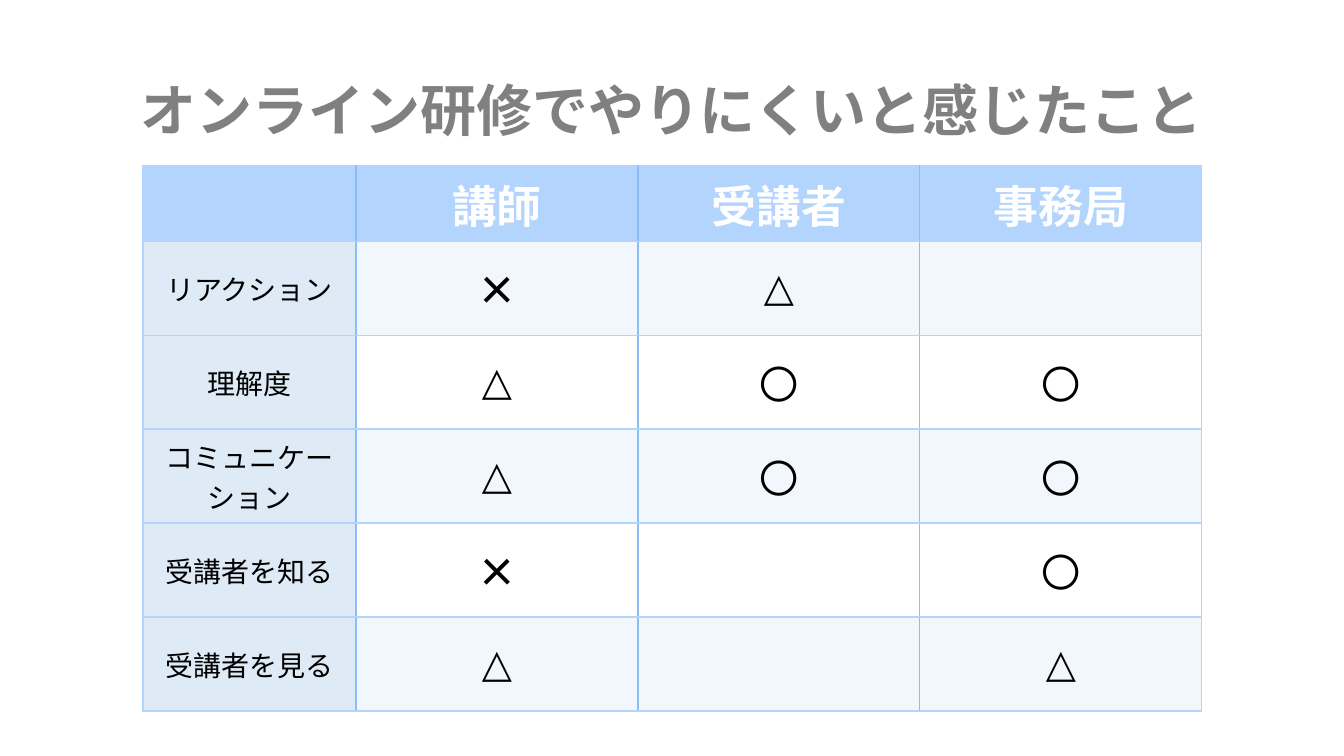
from lxml.etree import SubElement
from pptx import Presentation
from pptx.dml.color import RGBColor
from pptx.enum.text import MSO_ANCHOR, PP_ALIGN
from pptx.oxml.ns import qn
from pptx.util import Emu, Pt

TITLE = "オンライン研修でやりにくいと感じたこと"
ROWS = [
    ["", "講師", "受講者", "事務局"],
    ["リアクション", "×", "△", ""],
    ["理解度", "△", "〇", "〇"],
    ["コミュニケーション", "△", "〇", "〇"],
    ["受講者を知る", "×", "", "〇"],
    ["受講者を見る", "△", "", "△"],
]
COLORS = {
    "title": "808080",
    "header": "B3D4FC",
    "header_text": "FFFFFF",
    "label": "DEEBF7",
    "band": "F2F7FE",
    "plain": "FFFFFF",
    "text": "000000",
    "outer_line": "B3D4FC",
    "inner_line": "8ABDFA",
}
LATIN_FONT = "Calibri"
JAPANESE_FONT = "Noto Sans CJK JP"
MARK_SIZES = {"×": 44, "△": 28, "〇": 28}
HEADER_SIZE, LABEL_SIZE, TITLE_SIZE = 32, 20, 40

SLIDE_WIDTH, SLIDE_HEIGHT = 1344, 756
TITLE_BOX = (92, 40, 1159, 146)
TABLE_LEFT, TABLE_TOP = 143, 166
COLUMN_WIDTHS = [213, 282, 282, 282]
ROW_HEIGHTS = [66] + [94] * 5


def px(length):
    return Emu(round(length * 914400 / 100.8))


def color(name):
    return RGBColor.from_string(COLORS[name])


def format_text(text_frame, size, color_name, bold, latin_font):
    paragraph = text_frame.paragraphs[0]
    paragraph.alignment = PP_ALIGN.CENTER
    for run in paragraph.runs:
        font = run.font
        font.size = Pt(size)
        font.bold = bold
        font.name = latin_font
        font.color.rgb = color(color_name)
        east_asian = SubElement(font._element, qn("a:ea"))
        east_asian.set("typeface", JAPANESE_FONT)


def add_borders(cell, column):
    last_column = len(COLUMN_WIDTHS) - 1
    borders = {
        "a:lnL": "outer_line" if column == 0 else "inner_line",
        "a:lnR": "outer_line" if column == last_column else "inner_line",
        "a:lnT": "outer_line",
        "a:lnB": "outer_line",
    }
    properties = cell._tc.get_or_add_tcPr()
    for tag, color_name in borders.items():
        line = SubElement(properties, qn(tag), w=str(Pt(1)))
        fill = SubElement(line, qn("a:solidFill"))
        SubElement(fill, qn("a:srgbClr"), val=COLORS[color_name])


def cell_style(row, column, text):
    if row == 0:
        return "header", HEADER_SIZE, "header_text"
    if column == 0:
        return "label", LABEL_SIZE, "text"
    return "band" if row % 2 else "plain", MARK_SIZES.get(text), "text"


def add_title(slide):
    title = slide.shapes.title
    title.left, title.top, title.width, title.height = map(px, TITLE_BOX)
    text_frame = title.text_frame
    text_frame.text = TITLE
    text_frame.word_wrap = True
    text_frame.vertical_anchor = MSO_ANCHOR.MIDDLE
    text_frame.paragraphs[0].line_spacing = 0.9
    format_text(text_frame, TITLE_SIZE, "title", True, JAPANESE_FONT)


def add_comparison_table(slide):
    table = slide.shapes.add_table(
        len(ROWS), len(COLUMN_WIDTHS), px(TABLE_LEFT), px(TABLE_TOP),
        px(sum(COLUMN_WIDTHS)), px(sum(ROW_HEIGHTS)),
    ).table
    for column, width in zip(table.columns, COLUMN_WIDTHS):
        column.width = px(width)
    for row, height in zip(table.rows, ROW_HEIGHTS):
        row.height = px(height)
    for row, texts in enumerate(ROWS):
        for column, text in enumerate(texts):
            cell = table.cell(row, column)
            fill_name, size, text_color = cell_style(row, column, text)
            add_borders(cell, column)
            cell.fill.solid()
            cell.fill.fore_color.rgb = color(fill_name)
            cell.vertical_anchor = MSO_ANCHOR.MIDDLE if row else MSO_ANCHOR.TOP
            if text:
                cell.text_frame.text = text
                format_text(cell.text_frame, size, text_color, row == 0, LATIN_FONT)


def main():
    presentation = Presentation()
    presentation.slide_width = px(SLIDE_WIDTH)
    presentation.slide_height = px(SLIDE_HEIGHT)
    slide = presentation.slides.add_slide(presentation.slide_layouts[5])
    add_title(slide)
    add_comparison_table(slide)
    presentation.save("out.pptx")


if __name__ == "__main__":
    main()
